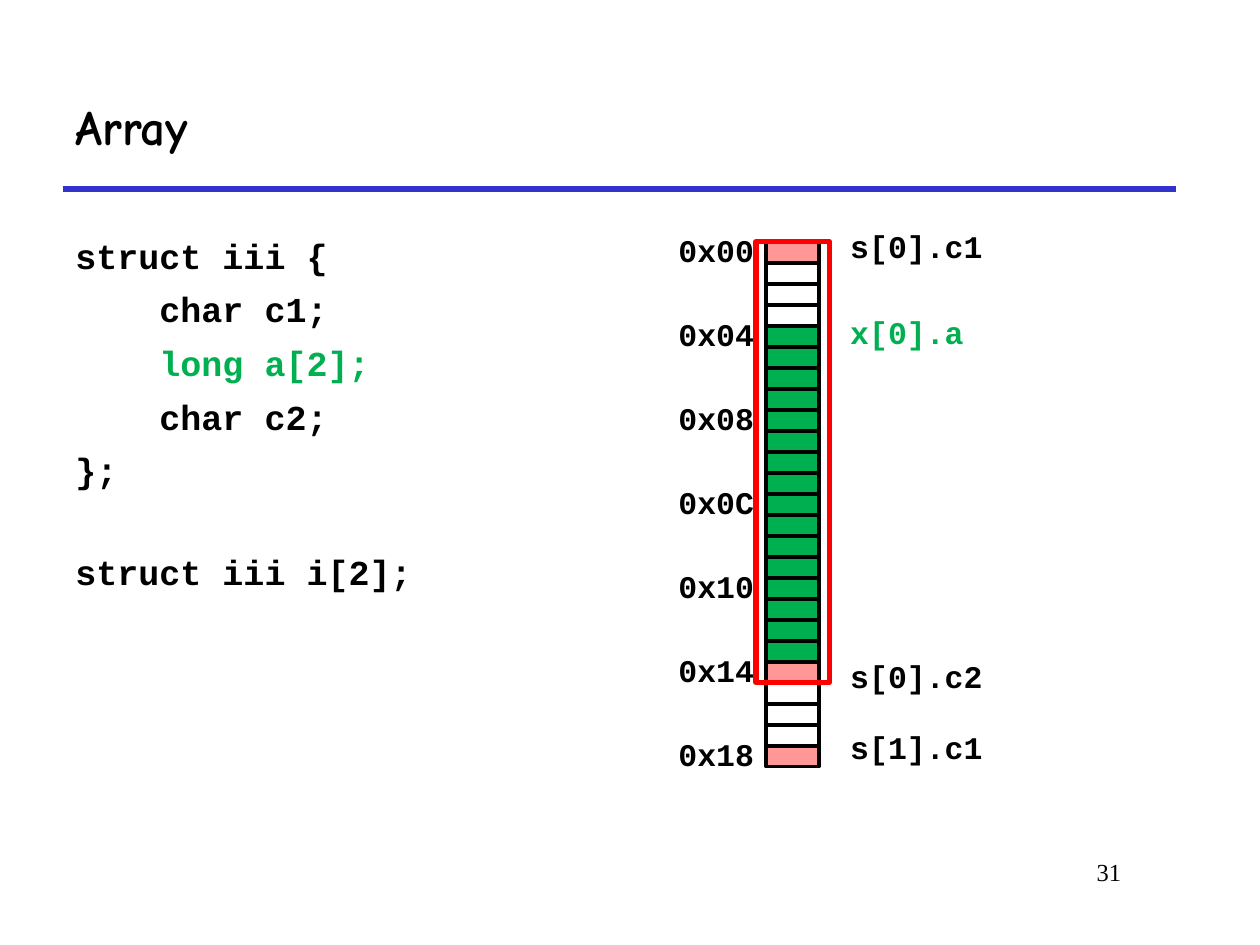
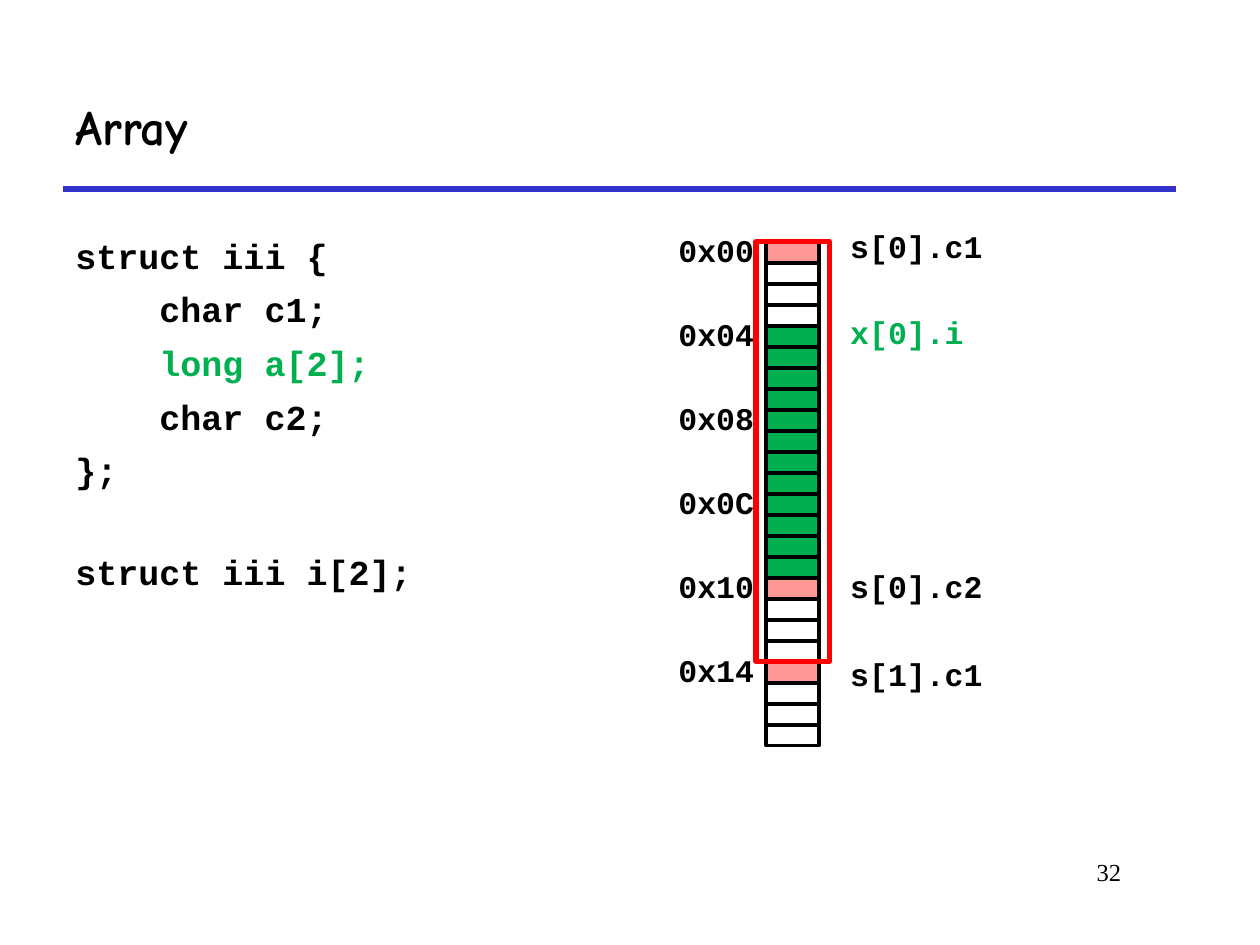
"""Builds two slides on the memory layout of an array of structs."""
from pptx import Presentation
from pptx.dml.color import RGBColor
from pptx.enum.shapes import MSO_CONNECTOR, MSO_SHAPE
from pptx.enum.text import MSO_ANCHOR, PP_ALIGN
from pptx.oxml.ns import qn
from pptx.util import Cm, Pt

STRAIGHT = MSO_CONNECTOR.STRAIGHT
RECTANGLE = MSO_SHAPE.RECTANGLE
MIDDLE, TOP = MSO_ANCHOR.MIDDLE, MSO_ANCHOR.TOP
LEFT, RIGHT = PP_ALIGN.LEFT, PP_ALIGN.RIGHT

COLORS = {
    "text": "000000",
    "rule": "3333CC",
    "char": "FF9797",
    "long": "00B050",
    "element": "FF0000",
}
TITLE_FONT, CODE_FONT, NUMBER_FONT = "Comic Neue", "Courier New", "Times New Roman"

BYTE_LEFT, BYTE_TOP = Cm(15.45), Cm(4.87)
BYTE_WIDTH, BYTE_HEIGHT = Cm(1.06), Cm(1.27) / 3
ADDRESS_RISE = Cm(0.34)

CODE = ["struct iii {", "    char c1;", "    long a[2];", "    char c2;", "};", "struct iii i[2];"]
LINE_GAP, BLOCK_GAP = Pt(6.6), Pt(34)

LAYOUTS = [
    {
        "number": 31,
        "bytes": "c...llllllllllllllllc...c",
        "element_size": 21,
        "members": [("s[0].c1", 4.45, "text"), ("x[0].a", 6.18, "long"),
                    ("s[0].c2", 13.13, "text"), ("s[1].c1", 14.56, "text")],
    },
    {
        "number": 32,
        "bytes": "c...llllllllllllc...c...",
        "element_size": 20,
        "members": [("s[0].c1", 4.45, "text"), ("x[0].i", 6.18, "long"),
                    ("s[0].c2", 11.31, "text"), ("s[1].c1", 13.08, "text")],
    },
]
BYTE_FILLS = {"c": "char", "l": "long", ".": None}


def add_text(slide, box, lines, font, size, color="text", bold=True, align=LEFT, anchor=TOP):
    frame = slide.shapes.add_textbox(*box).text_frame
    frame.word_wrap = True
    frame.vertical_anchor = anchor
    frame.text = "\n".join(lines)
    for paragraph in frame.paragraphs:
        paragraph.alignment = align
        for run in paragraph.runs:
            run.font.name = font
            run.font.size = Pt(size)
            run.font.bold = bold
            run.font.color.rgb = RGBColor.from_string(COLORS[color])
    return frame.paragraphs


def add_box(slide, box, fill, line, weight):
    rectangle = slide.shapes.add_shape(RECTANGLE, *box)
    rectangle.shadow.inherit = False
    if fill:
        rectangle.fill.solid()
        rectangle.fill.fore_color.rgb = RGBColor.from_string(COLORS[fill])
    else:
        rectangle.fill.background()
    rectangle.line.color.rgb = RGBColor.from_string(COLORS[line])
    rectangle.line.width = Pt(weight)


prs = Presentation()
prs.slide_width, prs.slide_height = Cm(25.4), Cm(19.05)

for layout in LAYOUTS:
    slide = prs.slides.add_slide(prs.slide_layouts[6])

    title_rule = slide.shapes.add_connector(STRAIGHT, Cm(1.27), Cm(3.81), Cm(23.7), Cm(3.81))
    title_rule.line.color.rgb = RGBColor.from_string(COLORS["rule"])
    title_rule.line.width = Pt(3)
    effects = title_rule._element.spPr
    effects.append(effects.makeelement(qn("a:effectLst"), {}))

    add_text(slide, (Cm(1.27), Cm(1.27), Cm(22.43), Cm(2.54)), ["Array"],
             TITLE_FONT, 28, anchor=MIDDLE)
    add_text(slide, (Cm(19.25), Cm(17.15), Cm(3.6), Cm(1.27)), [str(layout["number"])],
             NUMBER_FONT, 14, bold=False, align=RIGHT)

    code_lines = add_text(slide, (Cm(1.27), Cm(4.6), Cm(8.47), Cm(10.8)), CODE, CODE_FONT, 20)
    for code_line in code_lines[1:]:
        code_line.space_before = LINE_GAP
    code_lines[-1].space_before = BLOCK_GAP
    code_lines[2].runs[0].font.color.rgb = RGBColor.from_string(COLORS["long"])

    for offset, kind in enumerate(layout["bytes"]):
        byte_top = int(BYTE_TOP + offset * BYTE_HEIGHT)
        add_box(slide, (BYTE_LEFT, byte_top, BYTE_WIDTH, int(BYTE_HEIGHT)),
                BYTE_FILLS[kind], "text", 2.25)
        if offset % 4 == 0:
            add_text(slide, (Cm(13.34), byte_top - ADDRESS_RISE, Cm(2.11), Cm(1.02)),
                     [f"0x{offset:02X}"], CODE_FONT, 18, align=RIGHT)

    for member, top, color in layout["members"]:
        add_text(slide, (Cm(16.89), Cm(top), Cm(3.43), Cm(1.02)), [member], CODE_FONT, 18, color)

    add_box(slide, (Cm(15.24), BYTE_TOP, Cm(1.48), int(layout["element_size"] * BYTE_HEIGHT)),
            None, "element", 3)

prs.save("out.pptx")
